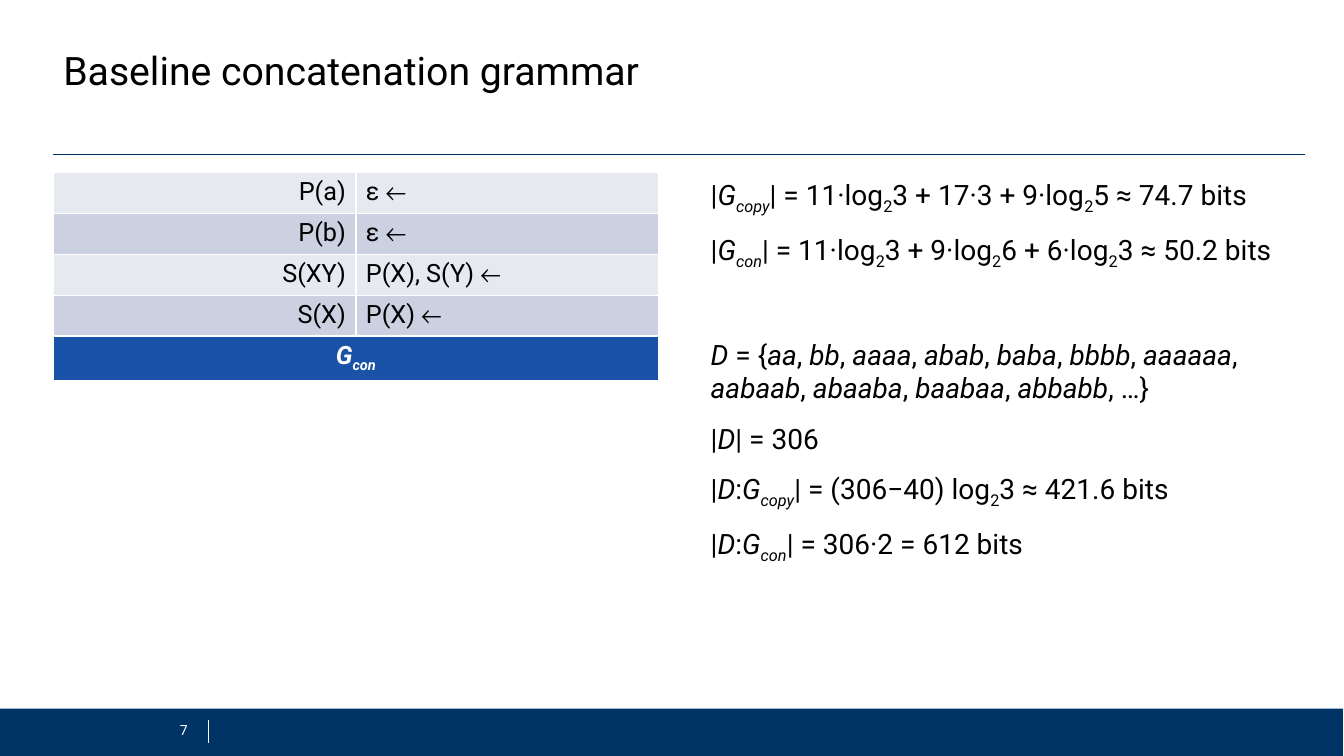
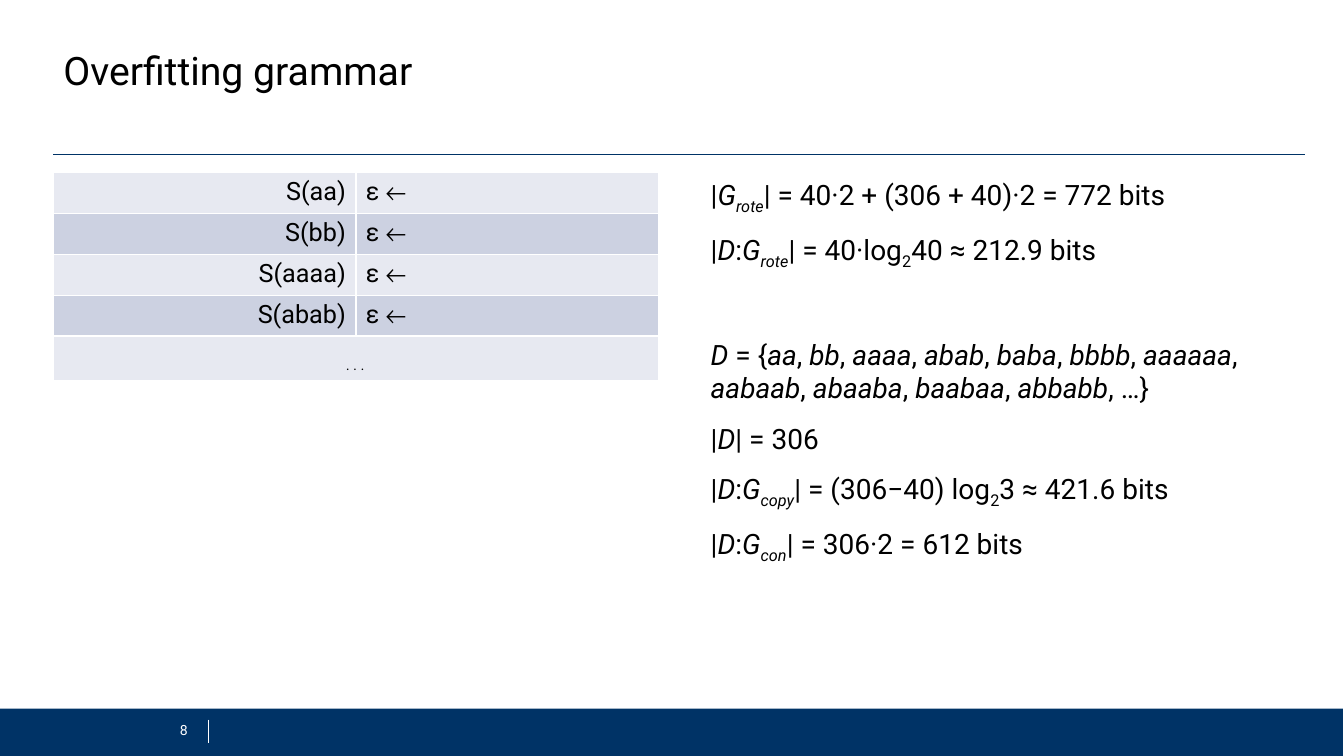
import pptx
import pptx.dml.color
import pptx.enum.shapes
import pptx.enum.text
import pptx.oxml
import pptx.oxml.ns
import pptx.util
from pptx.util import Inches

NAVY = pptx.dml.color.RGBColor(0x00, 0x33, 0x66)
BLUE = pptx.dml.color.RGBColor(0x19, 0x52, 0xA6)
PALE = pptx.dml.color.RGBColor(0xE7, 0xE9, 0xF1)
GREY = pptx.dml.color.RGBColor(0xCC, 0xD1, 0xE1)
WHITE = pptx.dml.color.RGBColor(0xFF, 0xFF, 0xFF)
BLACK = pptx.dml.color.RGBColor(0x00, 0x00, 0x00)
ALIGN = pptx.enum.text.PP_ALIGN
MIDDLE = pptx.enum.text.MSO_ANCHOR.MIDDLE
NAMESPACE = pptx.oxml.ns.nsdecls("a")
BORDER = ('<a:{} {} w="12700"><a:solidFill><a:srgbClr val="FFFFFF"/>'
          '</a:solidFill></a:{}>')


def write(para, markup, size, color=BLACK, bold=None, **layout):
    """Fill a paragraph; _ switches italics and ~ switches subscript."""
    for name, value in layout.items():
        setattr(para, name, value)
    italic = False
    for index, part in enumerate(markup.split("~")):
        for place, text in enumerate(part.split("_")):
            italic = italic != (place > 0)
            if not text:
                continue
            span = para.add_run()
            span.text = text
            formats = {"name": "Roboto", "size": pptx.util.Pt(size),
                       "bold": bold, "italic": italic or None}
            for name, value in formats.items():
                setattr(span.font, name, value)
            span.font.color.rgb = color
            if index % 2:
                span._r.get_or_add_rPr().set("baseline", "-25000")


def add_box(page, left, top, width, height, anchor=None):
    """Add a wrapping text box and return its text frame."""
    frame = page.shapes.add_textbox(
        Inches(left), Inches(top), Inches(width), Inches(height)).text_frame
    frame.word_wrap = True
    if anchor is not None:
        frame.vertical_anchor = anchor
    return frame


# Content: title, rules, closing row (markup, fill, colour, bold), formulas
words = ("aa bb aaaa abab baba bbbb aaaaaa "
         "aabaab abaaba baabaa abbabb").split()
data_set = "_D_ = {" + ", ".join(f"_{word}_" for word in words) + ", …}"
shared_formulas = [
    data_set,
    "|_D_| = 306",
    "|_D_:_G~copy~_| = (306−40) log~2~3 ≈ 421.6 bits",
    "|_D_:_G~con~_| = 306·2 = 612 bits",
]
slides = [
    ("Baseline concatenation grammar",
     [("P(a)", "← ε"), ("P(b)", "← ε"),
      ("S(XY)", "← P(X), S(Y)"), ("S(X)", "← P(X)")],
     ("_G~con~_", BLUE, WHITE, True),
     ["|_G~copy~_| = 11·log~2~3 + 17·3 + 9·log~2~5 ≈ 74.7 bits",
      "|_G~con~_| = 11·log~2~3 + 9·log~2~6 + 6·log~2~3 ≈ 50.2 bits"]),
    ("Overfitting grammar",
     [("S(aa)", "← ε"), ("S(bb)", "← ε"),
      ("S(aaaa)", "← ε"), ("S(abab)", "← ε")],
     ("_~. . .~_", PALE, BLACK, None),
     ["|_G~rote~_| = 40·2 + (306 + 40)·2 = 772 bits",
      "|_D_:_G~rote~_| = 40·log~2~40 ≈ 212.9 bits"]),
]

deck = pptx.Presentation()
deck.slide_width, deck.slide_height = Inches(13.33), Inches(7.5)

for number, (title, rules, closing, formulas) in enumerate(slides, 7):
    page = deck.slides.add_slide(deck.slide_layouts[6])

    # Footer band, its divider and the line below the title
    band = page.shapes.add_shape(
        pptx.enum.shapes.MSO_SHAPE.RECTANGLE,
        Inches(0), Inches(7.03), Inches(13.32), Inches(0.47))
    band.shadow.inherit = False
    band.fill.solid()
    band.fill.fore_color.rgb = NAVY
    band.line.fill.background()
    for x1, y1, x2, y2, color, weight in [
            (2.06, 7.14, 2.06, 7.37, WHITE, 0.25),
            (0.53, 1.53, 12.94, 1.53, NAVY, 1)]:
        line = page.shapes.add_connector(
            pptx.enum.shapes.MSO_CONNECTOR.STRAIGHT,
            Inches(x1), Inches(y1), Inches(x2), Inches(y2))
        line.line.color.rgb = color
        line.line.width = pptx.util.Pt(weight)
        line._element.spPr.append(
            pptx.oxml.parse_xml(f"<a:effectLst {NAMESPACE}/>"))

    # Title and page number
    frame = add_box(page, 0.53, 0.45, 12.41, 0.55, MIDDLE)
    write(frame.paragraphs[0], title, 28, line_spacing=0.9)
    frame = add_box(page, 1.51, 7.04, 0.45, 0.4, MIDDLE)
    write(frame.paragraphs[0], str(number), 10, WHITE, alignment=ALIGN.RIGHT)

    # Grammar table
    table = page.shapes.add_table(
        len(rules) + 1, 2,
        Inches(0.53), Inches(1.71), Inches(6), Inches(2.03)).table
    table.first_row = table.horz_banding = False
    for row_index, row in enumerate(table.rows):
        for cell in row.cells:
            properties = cell._tc.get_or_add_tcPr()
            for side in ("lnT", "lnB"):
                properties.append(pptx.oxml.parse_xml(
                    BORDER.format(side, NAMESPACE, side)))
            cell.fill.solid()
            cell.fill.fore_color.rgb = GREY if row_index % 2 else PALE
    for row_index, (head, body) in enumerate(rules):
        write(table.cell(row_index, 0).text_frame.paragraphs[0], head, 18,
              alignment=ALIGN.RIGHT)
        para = table.cell(row_index, 1).text_frame.paragraphs[0]
        write(para, body, 18, alignment=ALIGN.LEFT)
        para._p.get_or_add_pPr().set("rtl", "1")
    markup, fill, color, bold = closing
    last = table.cell(len(rules), 0)
    last.merge(table.cell(len(rules), 1))
    last.fill.fore_color.rgb = fill
    write(last.text_frame.paragraphs[0], markup, 18, color, bold,
          alignment=ALIGN.CENTER)

    # Formulas, with a wide gap before the data set
    frame = add_box(page, 6.95, 1.71, 5.99, 5.04)
    for index, formula in enumerate(formulas + shared_formulas):
        para = frame.add_paragraph() if index else frame.paragraphs[0]
        gap = 41.5 if formula == data_set else 6
        write(para, formula, 20, space_before=pptx.util.Pt(gap),
              space_after=pptx.util.Pt(6))

deck.save("out.pptx")
